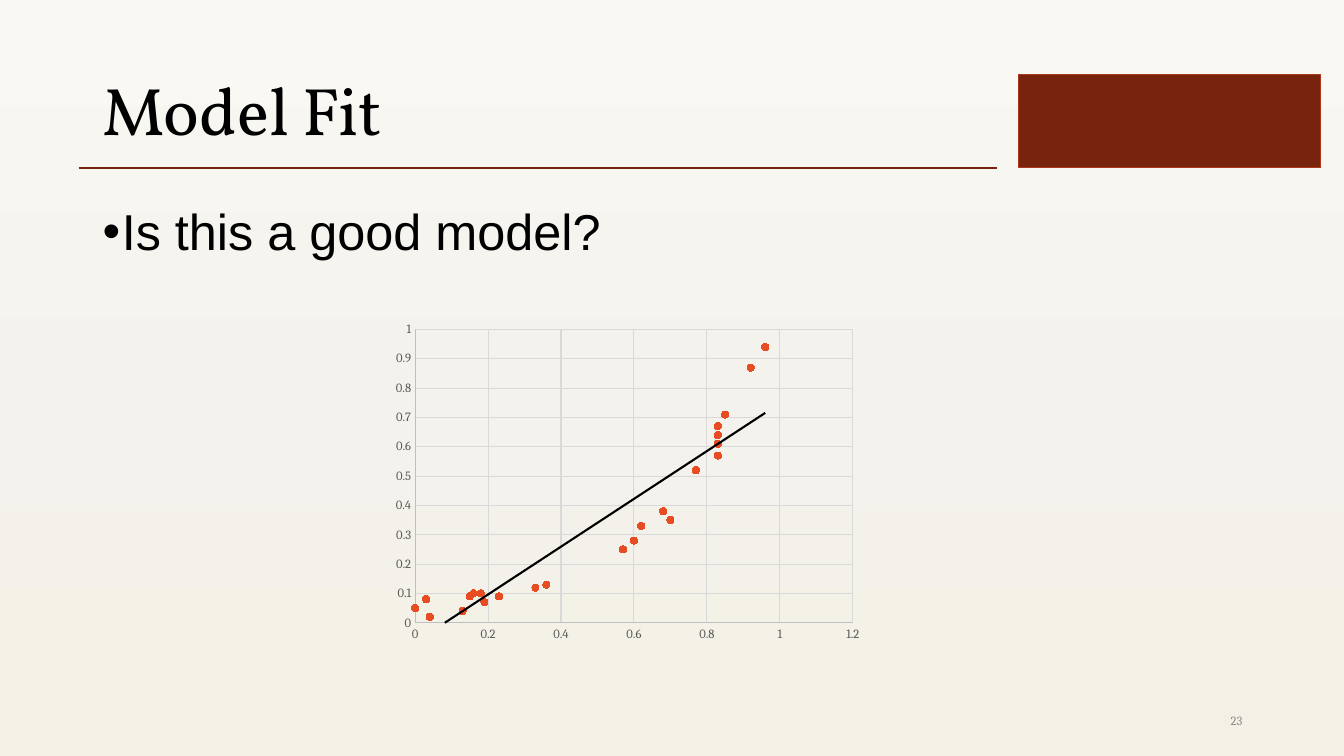
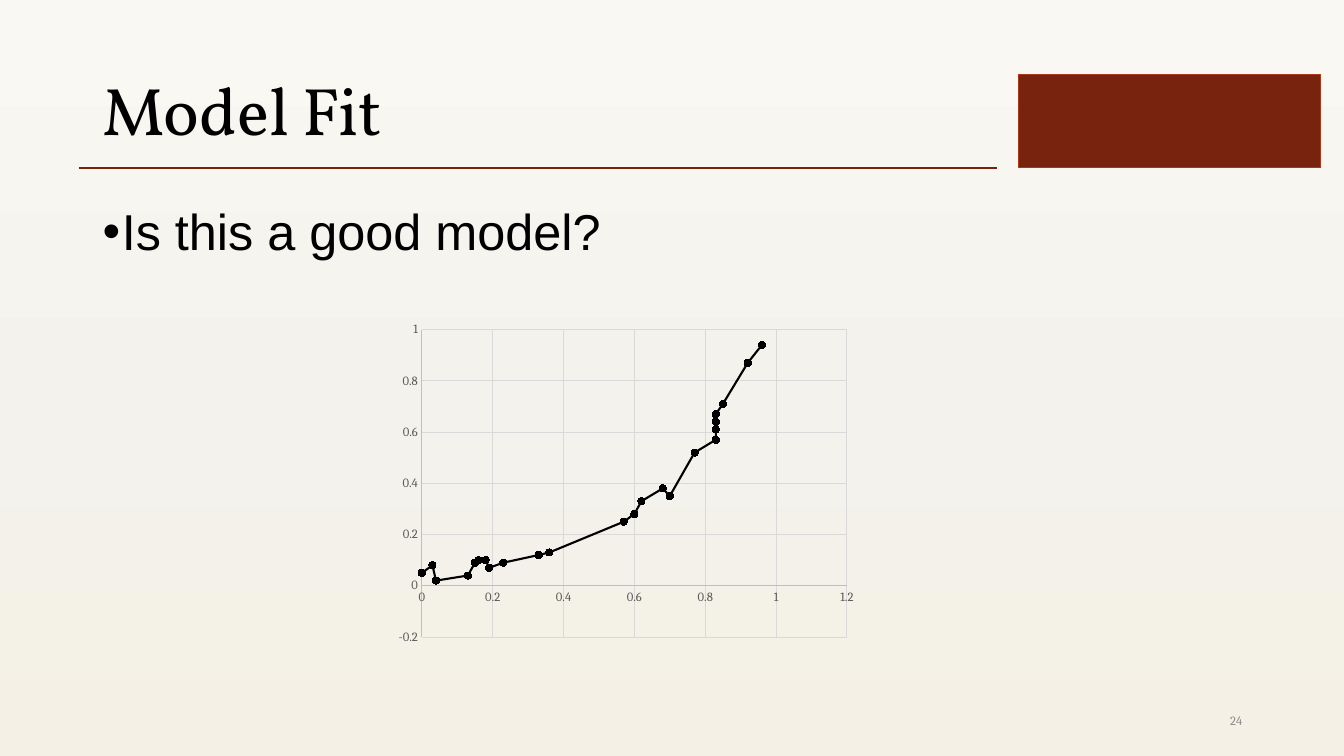
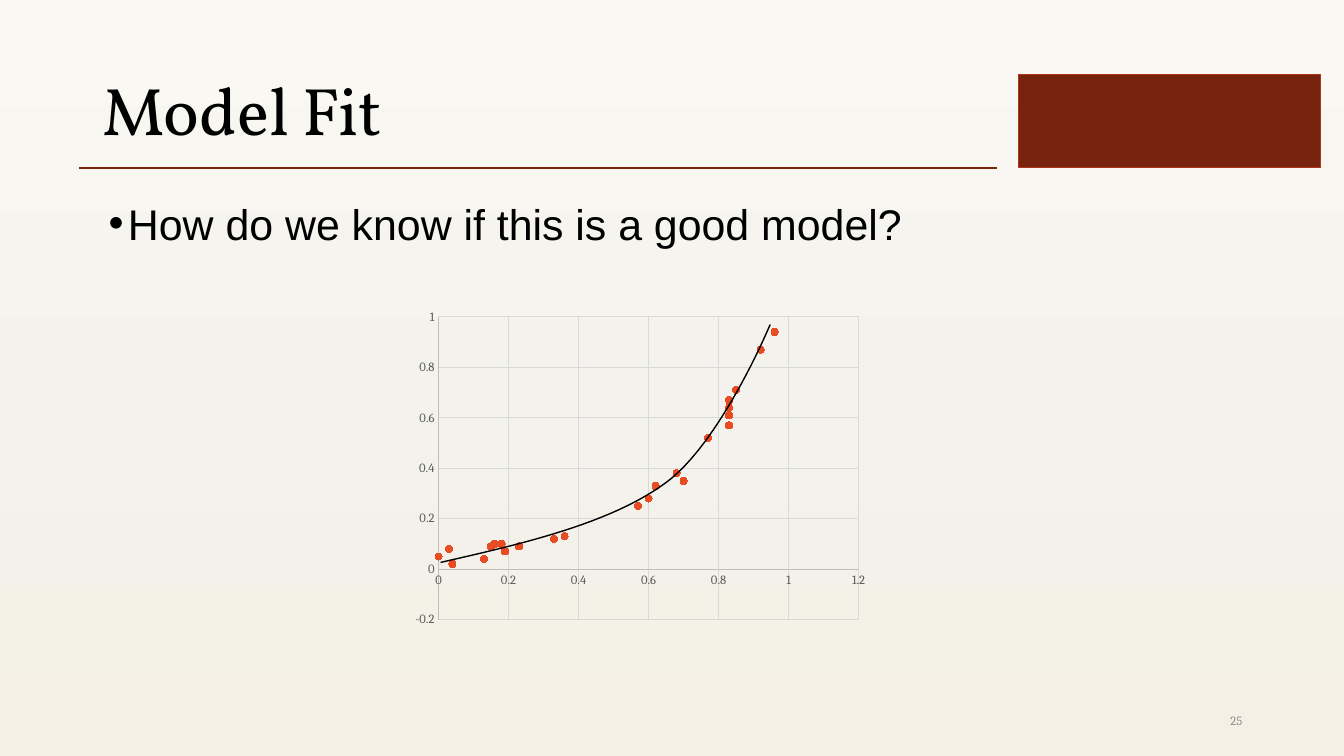
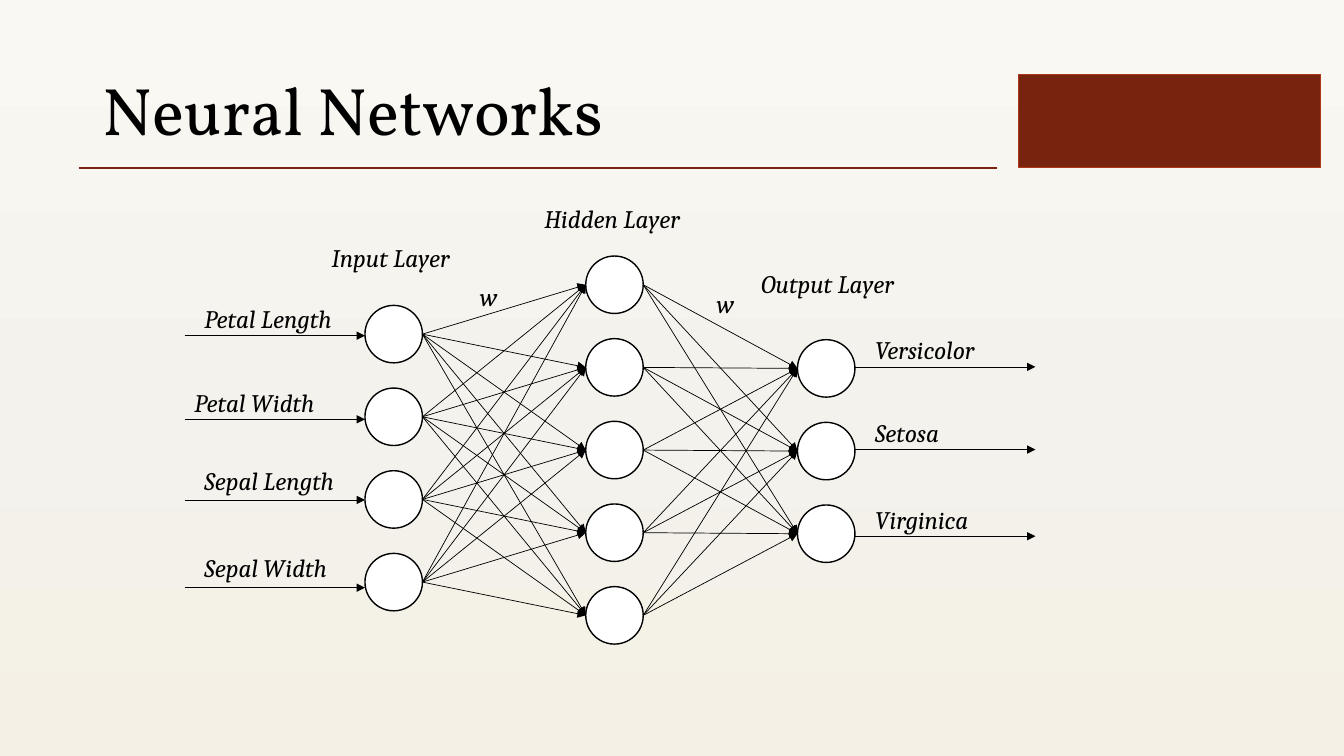
from copy import deepcopy
from itertools import product

from lxml import etree
from pptx import Presentation
from pptx.chart.data import XyChartData
from pptx.dml.color import RGBColor
from pptx.enum.chart import XL_CHART_TYPE as CT, XL_MARKER_STYLE as MARKER, XL_TICK_MARK as TICK
from pptx.enum.shapes import MSO_CONNECTOR as CONN, MSO_SHAPE as SHAPE
from pptx.enum.text import MSO_ANCHOR as ANCHOR, PP_ALIGN as ALIGN
from pptx.oxml import parse_xml
from pptx.oxml.ns import nsdecls, qn
from pptx.util import Inches, Pt

BLACK, WHITE, GRAY = "000000", "FFFFFF", "8C8C8C"
BAND, BAND_EDGE, ORANGE = "78230D", "AC3819", "E84C22"
AXIS_TEXT, AXIS_LINE, GRID = "595959", "BFBFBF", "D9D9D9"
BACKGROUND = [(0, "FAF8F3"), (56, "F3F2EC"), (100, "F4F0E5")]
TITLE_FONT, BODY_FONT, SMALL_FONT = "Vollkorn", "Arial", "Cambria"

POINTS = [
    (0, 0.05), (0.03, 0.08), (0.04, 0.02), (0.13, 0.04), (0.15, 0.09), (0.16, 0.1),
    (0.18, 0.1), (0.19, 0.07), (0.23, 0.09), (0.33, 0.12), (0.36, 0.13), (0.57, 0.25),
    (0.6, 0.28), (0.62, 0.33), (0.68, 0.38), (0.7, 0.35), (0.77, 0.52), (0.83, 0.57),
    (0.83, 0.64), (0.83, 0.61), (0.83, 0.67), (0.85, 0.71), (0.92, 0.87), (0.96, 0.94),
]


def rgb(color):
    return RGBColor.from_string(color)


def set_line(line, color, width):
    line.color.rgb = rgb(color)
    line.width = Pt(width)


def set_background(prs):
    """Give the master the three-stop gradient that all slides inherit."""
    fill = prs.slide_master.background.fill
    fill.gradient()
    fill.gradient_angle = 270
    stops = prs.slide_master.element.find(".//" + qn("a:gsLst"))
    stops.append(deepcopy(stops[-1]))
    for stop, (position, color) in zip(fill.gradient_stops, BACKGROUND):
        stop.position = position / 100
        stop.color.rgb = rgb(color)


def add_text(s, text, x, y, w, h, size, font=SMALL_FONT, color=BLACK, italic=False,
             align=ALIGN.LEFT, anchor=ANCHOR.TOP, spacing=None, bullet=False, wrap=True):
    tf = s.shapes.add_textbox(Inches(x), Inches(y), Inches(w), Inches(h)).text_frame
    tf.word_wrap = wrap
    tf.vertical_anchor = anchor
    p = tf.paragraphs[0]
    p.alignment = align
    if spacing:
        p.line_spacing = spacing
    if bullet:
        pPr = p._p.get_or_add_pPr()
        pPr.set("marL", str(Inches(0.19)))
        pPr.set("indent", str(-Inches(0.19)))
        etree.SubElement(pPr, qn("a:buFont"), typeface=BODY_FONT)
        etree.SubElement(pPr, qn("a:buChar"), char="•")
    r = p.add_run()
    r.text = text
    r.font.size = Pt(size)
    r.font.name = font
    r.font.italic = italic
    r.font.color.rgb = rgb(color)


def add_shape(s, kind, x, y, w, h, fill, line):
    sp = s.shapes.add_shape(kind, Inches(x), Inches(y), Inches(w), Inches(h))
    sp.shadow.inherit = False
    sp.fill.solid()
    sp.fill.fore_color.rgb = rgb(fill)
    set_line(sp.line, line, 1)


def add_line(s, x1, y1, x2, y2, color=BLACK, width=0.5, arrow=False):
    c = s.shapes.add_connector(CONN.STRAIGHT, Inches(x1), Inches(y1), Inches(x2), Inches(y2))
    set_line(c.line, color, width)
    if arrow:
        etree.SubElement(c.line._get_or_add_ln(), qn("a:tailEnd"), type="triangle")
    etree.SubElement(c._element.spPr, qn("a:effectLst"))


def add_slide(prs, title, number=None):
    """Add a slide with title, rule, band and, if given, its number."""
    s = prs.slides.add_slide(prs.slide_layouts[6])
    add_shape(s, SHAPE.RECTANGLE, 10.1, 0.74, 3, 0.92, BAND, BAND_EDGE)
    add_line(s, 0.78, 1.67, 9.89, 1.67, BAND, 1.5)
    add_text(s, title, 0.92, 0.4, 9.09, 1.45, 48, TITLE_FONT, anchor=ANCHOR.MIDDLE, spacing=0.9)
    if number:
        add_text(s, str(number), 9.42, 6.95, 3, 0.4, 9, color=GRAY,
                 align=ALIGN.RIGHT, anchor=ANCHOR.MIDDLE)
    return s


def add_trend(series):
    trend = parse_xml(
        f'<c:trendline {nsdecls("c", "a")}><c:spPr><a:ln w="{Pt(1.5)}"><a:solidFill>'
        f'<a:srgbClr val="{BLACK}"/></a:solidFill></a:ln></c:spPr>'
        '<c:trendlineType val="linear"/><c:dispRSqr val="0"/><c:dispEq val="0"/></c:trendline>')
    series._element.find(qn("c:xVal")).addprevious(trend)


def set_plot_box(chart, x, y, w, h):
    """Fix the inner plot area, in fractions of the chart."""
    area = chart._chartSpace.find(".//" + qn("c:plotArea"))
    for old in area.findall(qn("c:layout")):
        area.remove(old)
    area.insert(0, parse_xml(
        f'<c:layout {nsdecls("c")}><c:manualLayout><c:layoutTarget val="inner"/>'
        '<c:xMode val="edge"/><c:yMode val="edge"/>'
        f'<c:x val="{x}"/><c:y val="{y}"/><c:w val="{w}"/><c:h val="{h}"/>'
        '</c:manualLayout></c:layout>'))


def add_scatter(s, x, y, w, h, joined=False, trend=False, y_min=0, plot_box=None):
    data = XyChartData()
    points = data.add_series("Series 1")
    for point in POINTS:
        points.add_data_point(*point)
    kind = CT.XY_SCATTER_LINES if joined else CT.XY_SCATTER
    chart = s.shapes.add_chart(kind, Inches(x), Inches(y), Inches(w), Inches(h), data).chart
    chart.has_title = chart.has_legend = False
    chart.font.size, chart.font.name = Pt(10), SMALL_FONT
    chart.font.color.rgb = rgb(BLACK)
    chart.plots[0].vary_by_categories = False
    for axis in (chart.category_axis, chart.value_axis):
        axis.major_tick_mark = axis.minor_tick_mark = TICK.NONE
        axis.has_major_gridlines = True
        set_line(axis.major_gridlines.format.line, GRID, 0.75)
        set_line(axis.format.line, AXIS_LINE, 0.75)
        font = axis.tick_labels.font
        font.size, font.name = Pt(9), SMALL_FONT
        font.color.rgb = rgb(AXIS_TEXT)
    chart.value_axis.minimum_scale = y_min

    series = chart.plots[0].series[0]
    if joined:
        set_line(series.format.line, BLACK, 1.5)
    else:
        series.format.line.fill.background()
    marker = series.marker
    marker.style, marker.size = MARKER.CIRCLE, 5
    marker.format.fill.solid()
    marker.format.fill.fore_color.rgb = rgb(ORANGE)
    set_line(marker.format.line, ORANGE, 0.75)
    if trend:
        add_trend(series)
    if plot_box:
        set_plot_box(chart, *plot_box)


def bezier(points, steps=24):
    """Return points along a cubic curve, without its start."""
    result = []
    for i in range(1, steps + 1):
        t = i / steps
        weights = ((1 - t) ** 3, 3 * t * (1 - t) ** 2, 3 * t * t * (1 - t), t ** 3)
        result.append(tuple(sum(k * p[axis] for k, p in zip(weights, points)) for axis in (0, 1)))
    return result


def add_fit_curve(s, x, y):
    """Draw the hand-fitted curve over a chart whose corner is at x, y."""
    start, bend, end = (0.5, 2.6), (2.72, 1.82), (3.76, 0.26)
    curve = [start]
    curve += bezier([start, (1.34, 2.41), (2.18, 2.21), bend])
    curve += bezier([bend, (3.27, 1.43), end, end])
    curve.append((3.77, 0.24))
    corners = [(Inches(x + dx), Inches(y + dy)) for dx, dy in curve]
    builder = s.shapes.build_freeform(*corners[0])
    builder.add_line_segments(corners[1:], close=False)
    sp = builder.convert_to_shape()
    sp.shadow.inherit = False
    sp.fill.background()
    set_line(sp.line, BLACK, 1)


def add_network(s, x, y):
    """Draw the three-layer network with its top left corner at x, y."""
    node, pitch, arrow_length = 0.57, 0.82, 1.79

    def label(text, dx, dy, w, wrap=False):
        add_text(s, text, x + dx, y + dy, w, 0.4, 18, italic=True, wrap=wrap)

    layers = []
    for dx, dy, count in [(1.79, 1.06, 4), (3.98, 0.57, 5), (6.08, 1.4, 3)]:
        layers.append([(x + dx, y + dy + i * pitch) for i in range(count)])
        for left, top in layers[-1]:
            add_shape(s, SHAPE.OVAL, left, top, node, node, WHITE, BLACK)
    for sources, targets in zip(layers, layers[1:]):
        for (x1, y1), (x2, y2) in product(sources, targets):
            add_line(s, x1 + node, y1 + node / 2, x2, y2 + node / 2, arrow=True)

    for text, dx, dy, w in [("w", 2.83, 0.77, 0.39), ("w", 5.18, 0.84, 0.39),
                            ("Input Layer", 1.36, 0.38, 1.43),
                            ("Hidden Layer", 3.47, 0, 1.61),
                            ("Output Layer", 5.62, 0.64, 1.59)]:
        label(text, dx, dy, w)
    for text, dx, dy, w, arrow_y in [("Petal Length", 0.1, 0.99, 1.53, 1.36),
                                     ("Petal Width", 0, 1.82, 1.44, 2.19),
                                     ("Sepal Length", 0.1, 2.6, 1.56, 2.99),
                                     ("Sepal Width", 0.1, 3.46, 1.47, 3.86)]:
        add_line(s, x, y + arrow_y, x + arrow_length, y + arrow_y, arrow=True)
        label(text, dx, dy, w)
    out = 6.65
    for text, arrow_y in [("Versicolor", 1.67), ("Setosa", 2.49), ("Virginica", 3.35)]:
        add_line(s, x + out, y + arrow_y, x + out + arrow_length, y + arrow_y, arrow=True)
        label(text, out + 0.1, arrow_y - 0.37, 1.31, wrap=True)


def main():
    prs = Presentation()
    prs.slide_width, prs.slide_height = Inches(13.33), Inches(7.5)
    set_background(prs)

    question = dict(font=BODY_FONT, bullet=True)
    for number, box, options in [(23, (3.83, 3.13, 4.79, 3.3), dict(trend=True)),
                                 (24, (3.86, 3.13, 4.7, 3.33), dict(joined=True, y_min=-0.2))]:
        s = add_slide(prs, "Model Fit", number)
        add_text(s, "Is this a good model?", 0.92, 2, 11.5, 4.76, 36, spacing=0.9, **question)
        add_scatter(s, *box, **options)

    s = add_slide(prs, "Model Fit", 25)
    add_text(s, "How do we know if this is a good model?", 0.98, 2.01, 8.62, 0.73, 30.6,
             spacing=0.8, **question)
    add_scatter(s, 3.87, 2.98, 4.79, 3.3, y_min=-0.2, plot_box=(0.1, 0.05, 0.87, 0.91))
    add_fit_curve(s, 3.87, 2.98)

    add_network(add_slide(prs, "Neural Networks"), 1.83, 1.97)
    prs.save("out.pptx")


if __name__ == "__main__":
    main()
